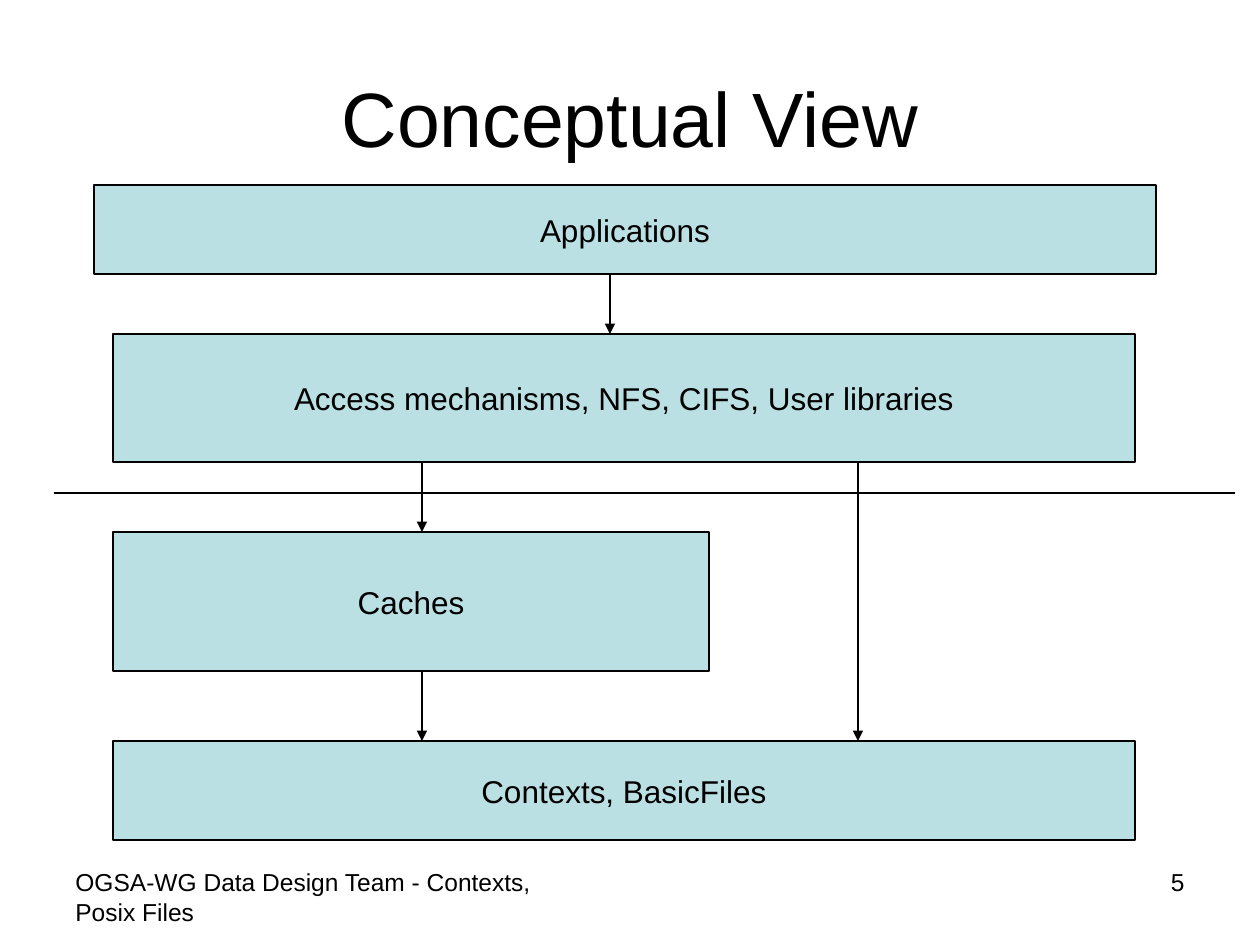
from pptx import Presentation
from pptx import util as u
from pptx.dml.color import RGBColor
from pptx.enum import shapes, text
from pptx.oxml.ns import qn
from lxml import etree

BLACK = RGBColor(0, 0, 0)
TEAL = RGBColor(0xBB, 0xE0, 0xE3)
WHITE = RGBColor(255, 255, 255)
FONT = "Arial"
PX = 914400 // 126
LEFT, CENTER, RIGHT = text.PP_ALIGN.LEFT, text.PP_ALIGN.CENTER, text.PP_ALIGN.RIGHT
MID, TOP = text.MSO_ANCHOR.MIDDLE, text.MSO_ANCHOR.TOP

TITLE = ("Conceptual View", (63, 38, 1134, 157))
BOXES = {
    "apps": ("Applications", (94, 185, 1062, 89)),
    "access": ("Access mechanisms, NFS, CIFS, User libraries", (113, 334, 1022, 128)),
    "caches": ("Caches", (113, 532, 596, 139)),
    "files": ("Contexts, BasicFiles", (113, 741, 1022, 99)),
}
FLOWS = [
    ("apps", "access", 610),
    ("access", "caches", 422),
    ("access", "files", 858),
    ("caches", "files", 422),
]
DIVIDE = (54, 493, 1235, 493)
NOTES = [
    ("OGSA-WG Data Design Team - Contexts, Posix Files", (63, 861, 547, 66), LEFT),
    ("5", (903, 861, 294, 66), RIGHT),
]


def emu(spot):
    return [n * PX for n in spot]


def write(shape, words, size, align, anchor, wrap=True):
    frame = shape.text_frame
    frame.text = words
    frame.word_wrap = wrap
    frame.auto_size = text.MSO_AUTO_SIZE.NONE
    frame.vertical_anchor = anchor
    para = frame.paragraphs[0]
    para.alignment = align
    font = para.runs[0].font
    font.name, font.size = FONT, u.Pt(size)
    font.color.rgb = BLACK


def add_box(slide, words, spot):
    box = slide.shapes.add_shape(shapes.MSO_SHAPE.RECTANGLE, *emu(spot))
    box.shadow.inherit = False
    box.fill.solid()
    box.fill.fore_color.rgb = TEAL
    box.line.color.rgb = BLACK
    box.line.width = u.Pt(0.75)
    write(box, words, 18, CENTER, MID, False)


def add_line(slide, ends, arrow=False):
    line = slide.shapes.add_connector(shapes.MSO_CONNECTOR.STRAIGHT, *emu(ends))
    line.line.color.rgb = BLACK
    line.line.width = u.Pt(0.75)
    if arrow:
        etree.SubElement(line.line._get_or_add_ln(), qn("a:tailEnd"), type="triangle")
    etree.SubElement(line._element.spPr, qn("a:effectLst"))


def main():
    deck = Presentation()
    deck.slide_width, deck.slide_height = u.Inches(10), u.Inches(7.5)
    slide = deck.slides.add_slide(deck.slide_layouts[5])
    slide.background.fill.solid()
    slide.background.fill.fore_color.rgb = WHITE

    words, spot = TITLE
    title = slide.shapes.title
    title.left, title.top, title.width, title.height = emu(spot)
    write(title, words, 44, CENTER, MID)

    for words, spot in BOXES.values():
        add_box(slide, words, spot)
    for start, end, x in FLOWS:
        _, (_, top, _, high) = BOXES[start]
        add_line(slide, (x, top + high, x, BOXES[end][1][1]), True)
    add_line(slide, DIVIDE)

    for words, spot, align in NOTES:
        write(slide.shapes.add_textbox(*emu(spot)), words, 14, align, TOP)

    deck.save("out.pptx")


if __name__ == "__main__":
    main()
